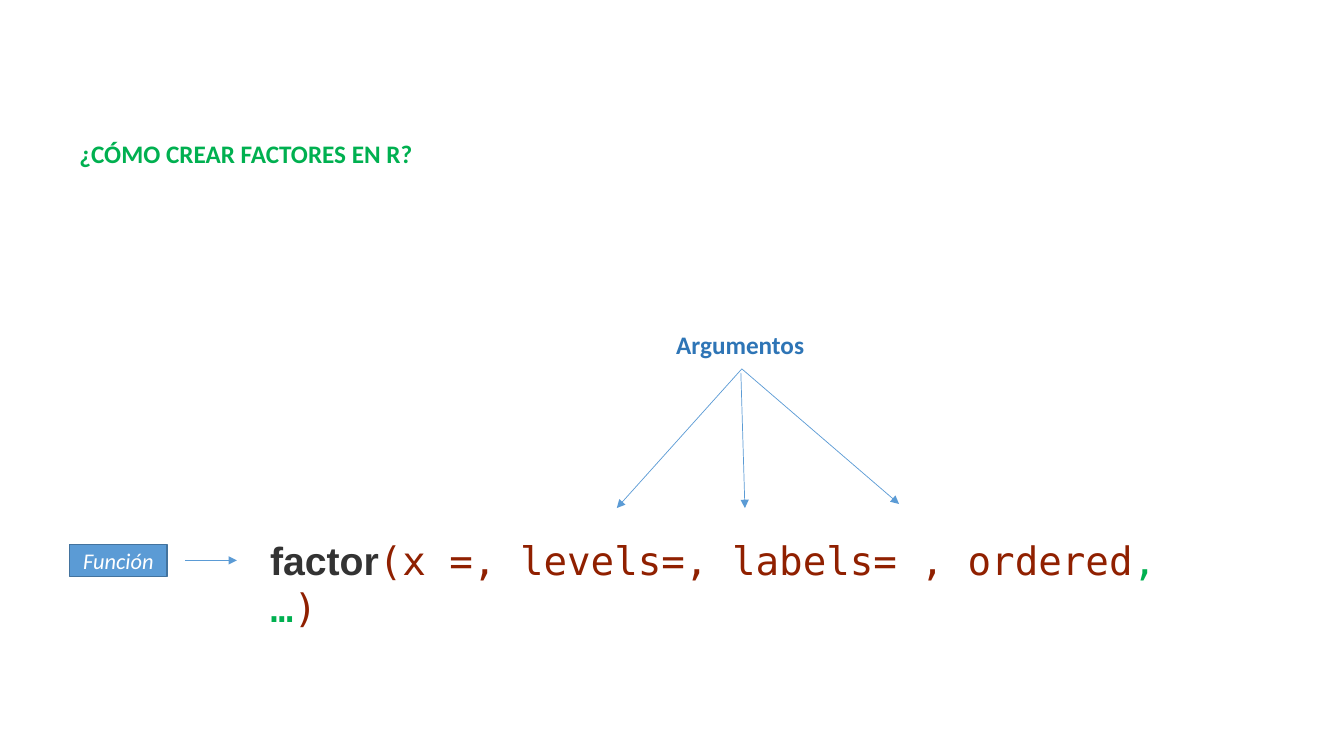
from typing import NamedTuple

from lxml.etree import SubElement
from pptx import Presentation
from pptx.dml.color import RGBColor
from pptx.enum.shapes import MSO_CONNECTOR, MSO_SHAPE
from pptx.enum.text import MSO_ANCHOR, PP_ALIGN
from pptx.oxml.ns import qn
from pptx.util import Pt

COLORS = {
    "green": "00B050", "blue": "5B9BD5", "edge": "43739E", "navy": "2E75B6",
    "gray": "333333", "red": "902000", "white": "FFFFFF",
}


class Run(NamedTuple):
    text: str
    color: str
    face: str = "Calibri"
    bold: bool = False
    italic: bool = False


class Label(NamedTuple):
    box: tuple[float, float, float, float]
    size: float
    runs: list[Run]
    wrap: bool = True


class Arrow(NamedTuple):
    start: tuple[float, float]
    end: tuple[float, float]


MONO = "DejaVu Sans Mono"
LABELS = [
    Label((49.7, 95, 554.4, 28.8), 18,
          [Run("¿CÓMO CREAR FACTORES EN R?", "green", bold=True)]),
    Label((185.8, 379.4, 652.3, 41), 28, [
        Run("factor", "gray", "Arial", True),
        Run("(x =, levels=, labels= , ordered", "red", MONO),
        Run(", …", "green", MONO),
        Run(")", "red", MONO),
    ]),
    Label((475.9, 231.8, 106.6, 28.8), 18,
          [Run("Argumentos", "navy", bold=True)], False),
]
ARROWS = [
    Arrow((529.9, 263.5), (440.6, 362.9)),
    Arrow((529.2, 266.4), (532.1, 362.9)),
    Arrow((529.9, 263.5), (642.2, 360)),
    Arrow((132.5, 400.3), (169.2, 400.3)),
]


def tint(name: str) -> RGBColor:
    return RGBColor.from_string(COLORS[name])


def style(font, run: Run) -> None:
    font.name = run.face
    font.bold = run.bold
    font.italic = run.italic
    font.color.rgb = tint(run.color)


def write(para, size: float, runs: list[Run]) -> None:
    para.font.size = Pt(size)
    for run in runs:
        part = para.add_run()
        part.text = run.text
        style(para.font if len(runs) == 1 else part.font, run)


def label(shapes, item: Label) -> None:
    frame = shapes.add_textbox(*map(Pt, item.box)).text_frame
    frame.word_wrap = item.wrap
    write(frame.paragraphs[0], item.size, item.runs)


def arrow(shapes, item: Arrow) -> None:
    link = shapes.add_connector(
        MSO_CONNECTOR.STRAIGHT, *map(Pt, item.start + item.end))
    link.line.color.rgb = tint("blue")
    link.line.width = Pt(0.5)
    SubElement(link.line._get_or_add_ln(), qn("a:tailEnd"), type="triangle")
    SubElement(link._element.spPr, qn("a:effectLst"))


def badge(shapes) -> None:
    box = shapes.add_shape(
        MSO_SHAPE.RECTANGLE, *map(Pt, (49.7, 388.8, 69.8, 23)))
    box.shadow.inherit = False
    box.fill.solid()
    box.fill.fore_color.rgb = tint("blue")
    box.line.color.rgb = tint("edge")
    box.line.width = Pt(1)
    frame = box.text_frame
    frame.vertical_anchor = MSO_ANCHOR.MIDDLE
    para = frame.paragraphs[0]
    para.alignment = PP_ALIGN.CENTER
    write(para, 16, [Run("Función", "white", italic=True)])


def main() -> None:
    """Build the slide on creating factors in R."""
    deck = Presentation()
    deck.slide_width, deck.slide_height = Pt(960), Pt(540)
    shapes = deck.slides.add_slide(deck.slide_layouts[6]).shapes
    for item in LABELS:
        label(shapes, item)
    for item in ARROWS:
        arrow(shapes, item)
    badge(shapes)
    deck.save("out.pptx")


if __name__ == "__main__":
    main()
